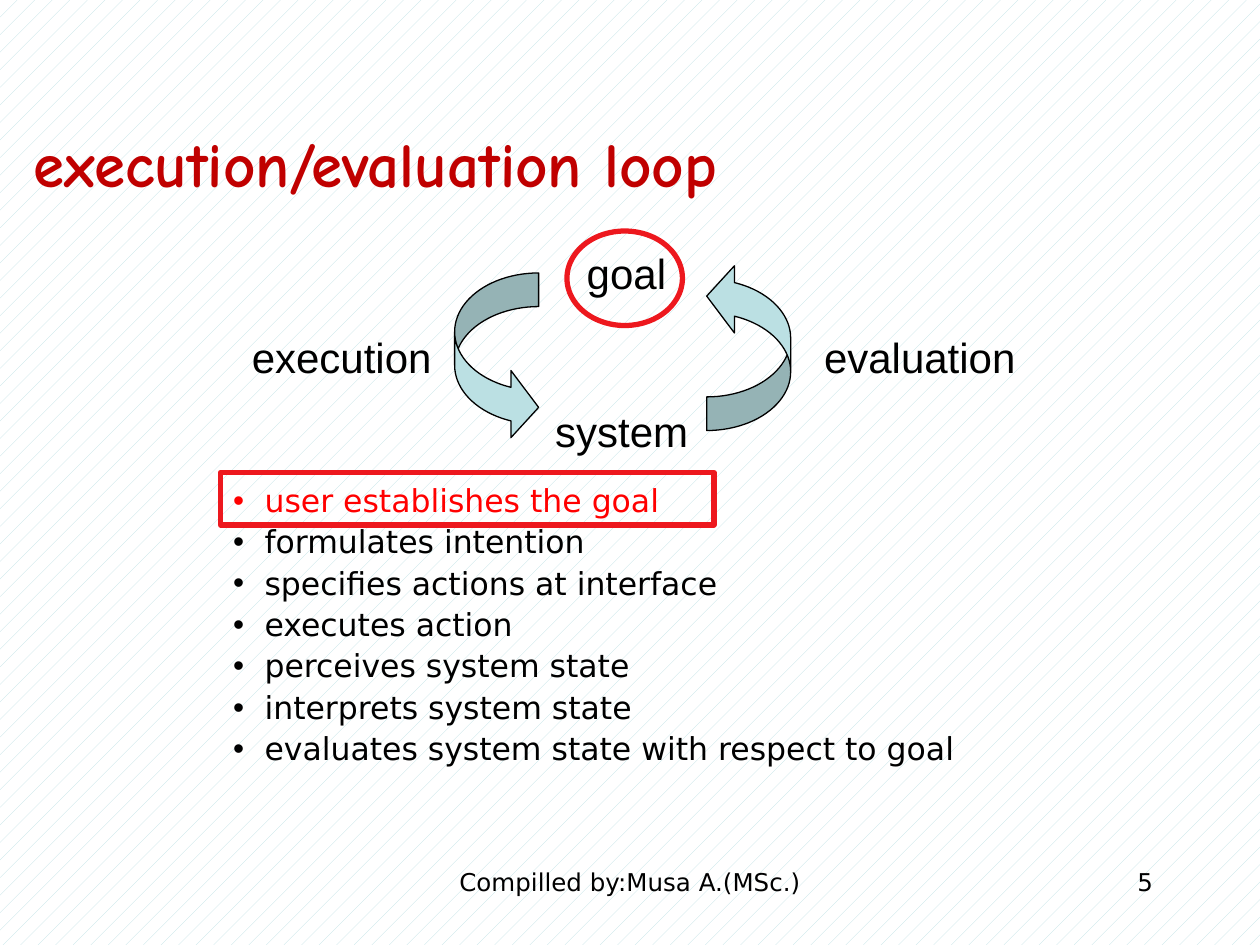
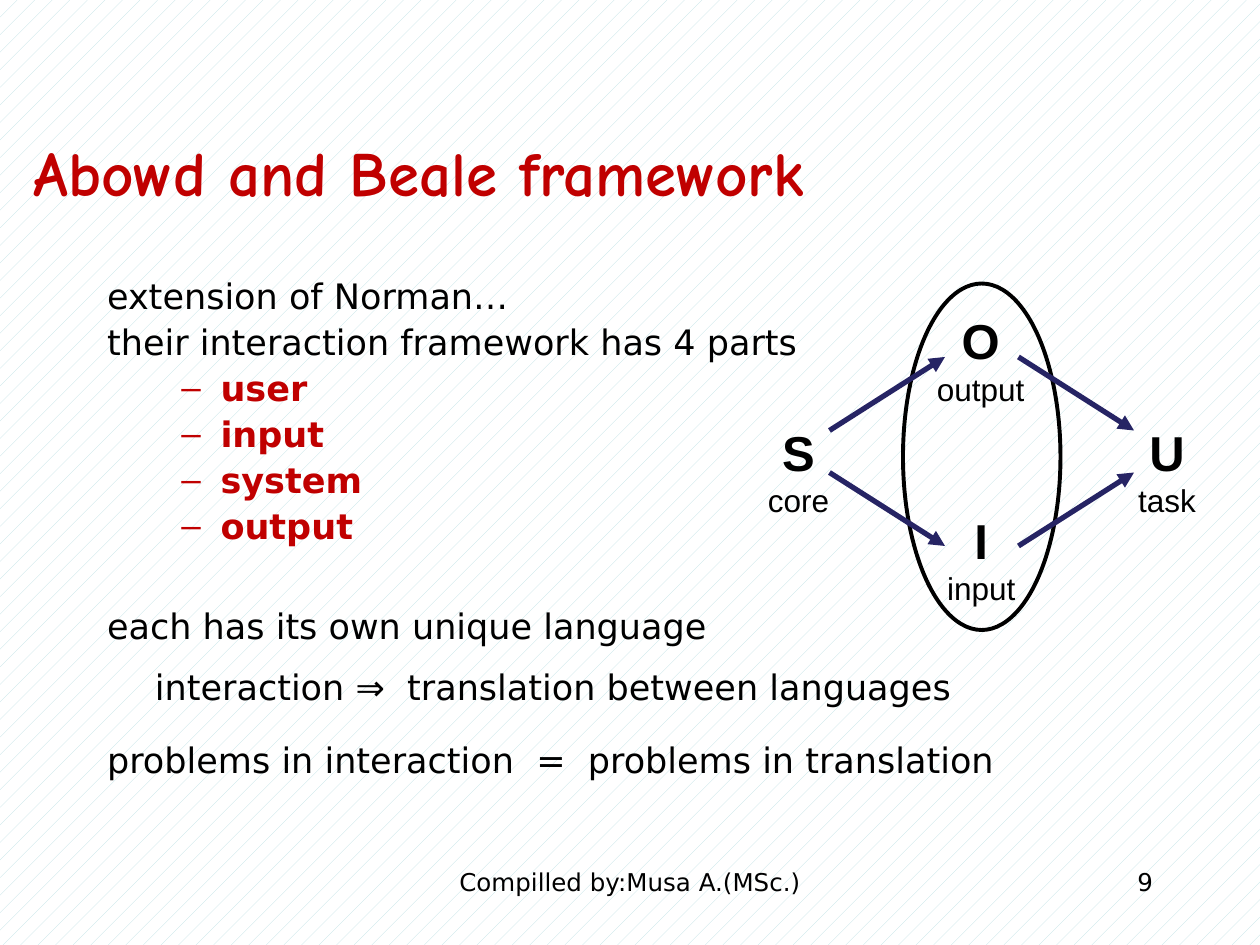
from dataclasses import dataclass
from typing import NamedTuple

from lxml.etree import SubElement
from pptx import Presentation
from pptx.dml.color import RGBColor
from pptx.enum.dml import MSO_PATTERN
from pptx.enum.shapes import MSO_CONNECTOR, MSO_SHAPE
from pptx.enum.text import MSO_ANCHOR, MSO_AUTO_SIZE, PP_ALIGN
from pptx.oxml.ns import qn
from pptx.util import Inches, Pt

# Shared look
COLS, ROWS = 120, 90  # grid cells across and down the slide
WIDTH, HEIGHT = Inches(10), Inches(7.5)
BLACK, WHITE, PALE = "000000", "FFFFFF", "BBE0E3"
DARK_RED, RED, MARK_RED, NAVY = "C00000", "FF0000", "ED181E", "262464"
TITLE_FONT, BODY_FONT, LABEL_FONT = "Comic Neue", "DejaVu Sans", "Arial"
FOOTER = "Compilled by:Musa A.(MSc.)"


class Box(NamedTuple):
    """A rectangle in grid columns and rows."""
    col: float
    row: float
    cols: float
    rows: float


@dataclass
class Item:
    """One paragraph of a body list."""
    text: str
    color: str = BLACK
    bold: bool = False
    bullet: str = ""
    indent: float = 0
    hang: float = 0
    before: float | None = None  # points; None follows the font size


class Node(NamedTuple):
    """A letter with its caption."""
    letter: str
    caption: str
    box: Box


def x(col: float) -> int:
    return round(WIDTH * col / COLS)


def y(row: float) -> int:
    return round(HEIGHT * row / ROWS)


def emu(box: Box) -> tuple:
    return x(box.col), y(box.row), x(box.cols), y(box.rows)


def rgb(code: str) -> RGBColor:
    return RGBColor.from_string(code)


def write(p, text: str, *, size: float, font: str = LABEL_FONT, color: str = BLACK,
          bold: bool = False, align=PP_ALIGN.LEFT) -> None:
    p.alignment = align
    r = p.add_run()
    r.text = text
    f = r.font
    f.size, f.name, f.bold = Pt(size), font, bold
    f.color.rgb = rgb(color)


def add_text(parent, box: Box, text: str, *, wrap: bool = False, **fmt):
    tf = parent.add_textbox(*emu(box)).text_frame
    tf.word_wrap = wrap
    write(tf.paragraphs[0], text, **fmt)
    return tf


def add_outline(parent, kind, box: Box, *, line: str, width: float, fill: str = ""):
    sp = parent.add_shape(kind, *emu(box))
    sp.shadow.inherit = False
    if fill:
        sp.fill.solid()
        sp.fill.fore_color.rgb = rgb(fill)
    else:
        sp.fill.background()
    sp.line.color.rgb = rgb(line)
    sp.line.width = Pt(width)
    return sp


def add_arrow(parent, start: tuple, end: tuple) -> None:
    cx = parent.add_connector(MSO_CONNECTOR.STRAIGHT, x(start[0]), y(start[1]),
                              x(end[0]), y(end[1]))
    cx.line.color.rgb = rgb(NAVY)
    cx.line.width = Pt(3)
    spPr = cx._element.spPr
    SubElement(spPr.find(qn("a:ln")), qn("a:tailEnd"), type="triangle")
    SubElement(spPr, qn("a:effectLst"))


def place(ph, box: Box):
    ph.left, ph.top, ph.width, ph.height = emu(box)
    tf = ph.text_frame
    tf.word_wrap = True
    tf.auto_size = MSO_AUTO_SIZE.NONE
    return tf


def fill_body(ph, box: Box, items: list[Item], size: float) -> None:
    tf = place(ph, box)
    tf.vertical_anchor = MSO_ANCHOR.TOP
    for i, item in enumerate(items):
        p = tf.paragraphs[0] if i == 0 else tf.add_paragraph()
        p.line_spacing = 0.9
        before = size * 0.233 if item.before is None else item.before
        p.space_before = Pt(before if i else 0)
        pPr = p._p.get_or_add_pPr()
        pPr.set("marL", str(Inches(item.indent)))
        pPr.set("indent", str(Inches(-item.hang)))
        if item.bullet:
            SubElement(pPr, qn("a:buFont"), typeface=LABEL_FONT)
            SubElement(pPr, qn("a:buChar"), char=item.bullet)
        else:
            SubElement(pPr, qn("a:buNone"))
        write(p, item.text, size=size, font=BODY_FONT, color=item.color, bold=item.bold)


def new_slide(prs, title: str, title_box: Box, number: str):
    """Add a slide with the patterned ground, title and footer."""
    s = prs.slides.add_slide(prs.slide_layouts[1])
    ground = s.background.fill
    ground.patterned()
    ground.pattern = MSO_PATTERN.PERCENT_5
    ground.fore_color.rgb, ground.back_color.rgb = rgb(PALE), rgb(WHITE)
    tf = place(s.shapes.title, title_box)
    tf.vertical_anchor = MSO_ANCHOR.MIDDLE
    write(tf.paragraphs[0], title, size=36, font=TITLE_FONT, color=DARK_RED, bold=True)
    for box, text, align in ((Box(41, 82, 38, 6), FOOTER, PP_ALIGN.CENTER),
                             (Box(86, 82, 25, 6), number, PP_ALIGN.RIGHT)):
        add_text(s.shapes, box, text, wrap=True, size=14, font=BODY_FONT, align=align)
    return s


def loop_slide(prs) -> None:
    s = new_slide(prs, "execution/evaluation loop", Box(2, 11.5, 90, 8), "5")

    # Steps of the loop
    steps = ("user establishes the goal", "formulates intention",
             "specifies actions at interface", "executes action",
             "perceives system state", "interprets system state",
             "evaluates system state with respect to goal")
    items = [Item(step, color=BLACK if i else RED, bullet="•", indent=1.25, hang=0.25)
             for i, step in enumerate(steps)]
    fill_body(s.placeholders[1], Box(9, 45.6, 102, 34.4), items, size=18)

    # Loop diagram
    loop = s.shapes.add_group_shape().shapes
    for text, box in (("system", Box(51.7, 38, 15.1, 6)),
                      ("evaluation", Box(77.3, 31, 20.6, 6)),
                      ("execution", Box(22.8, 31, 19.6, 6)),
                      ("goal", Box(54.7, 23, 10, 6))):
        add_text(loop, box, text, size=24)
    for col, row, turn in ((43.3, 26, 0), (67.3, 25, 180)):
        arrow = add_outline(loop, MSO_SHAPE.CURVED_RIGHT_ARROW, Box(col, row, 8, 16),
                            line=BLACK, width=0.75, fill=PALE)
        arrow.rotation = turn
        for i, value in enumerate((0.4, 0.8, 0.33)):
            arrow.adjustments[i] = value

    # Marks around the current step
    for kind, box in ((MSO_SHAPE.OVAL, Box(54, 22, 11, 9)),
                      (MSO_SHAPE.RECTANGLE, Box(21, 45, 47, 5))):
        add_outline(s.shapes, kind, box, line=MARK_RED, width=3)


def framework_slide(prs) -> None:
    s = new_slide(prs, "Abowd and Beale framework", Box(2, 11.9, 90, 8.9), "9")

    # Explanation
    parts = [Item(part, color=DARK_RED, bold=True, bullet="–", indent=0.9, hang=0.31)
             for part in ("user", "input", "system", "output")]
    items = [Item("extension of Norman…"),
             Item("their interaction framework has 4 parts"),
             *parts,
             Item("each has its own unique language", before=35.5),
             Item("interaction ⇒  translation between languages", indent=0.38, before=13.3),
             Item("problems in interaction  =  problems in translation", before=20.2)]
    fill_body(s.placeholders[1], Box(9, 26, 102, 54), items, size=20)

    # Framework diagram
    frame = s.shapes.add_group_shape().shapes
    add_outline(frame, MSO_SHAPE.OVAL, Box(86, 27, 15, 33), line=BLACK, width=2.25)
    for node in (Node("S", "core", Box(71.9, 39.6, 8.3, 10.4)),
                 Node("U", "task", Box(107.2, 39.6, 7.9, 10.4)),
                 Node("O", "output", Box(88, 29, 10.8, 10.4)),
                 Node("I", "input", Box(89, 48, 8.9, 10.4))):
        tf = add_text(frame, node.box, node.letter, size=28, bold=True,
                      align=PP_ALIGN.CENTER)
        write(tf.add_paragraph(), node.caption, size=18, align=PP_ALIGN.CENTER)
    for side_row, middle_row in ((41, 34), (45, 52)):
        add_arrow(frame, (79, side_row), (90, middle_row))
        add_arrow(frame, (97, middle_row), (108, side_row))


def main() -> None:
    prs = Presentation()
    prs.slide_width, prs.slide_height = WIDTH, HEIGHT
    loop_slide(prs)
    framework_slide(prs)
    prs.save("out.pptx")


if __name__ == "__main__":
    main()
